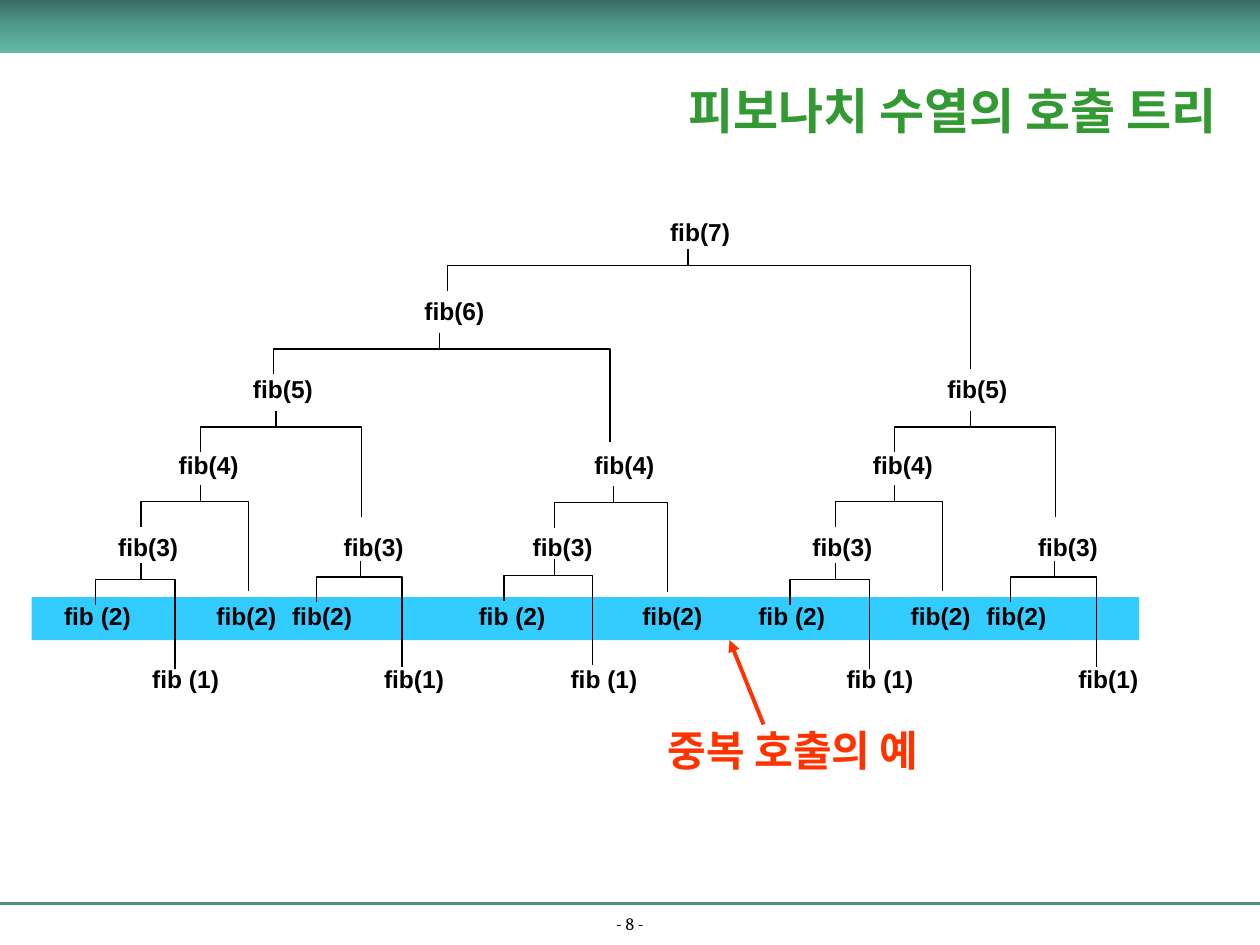
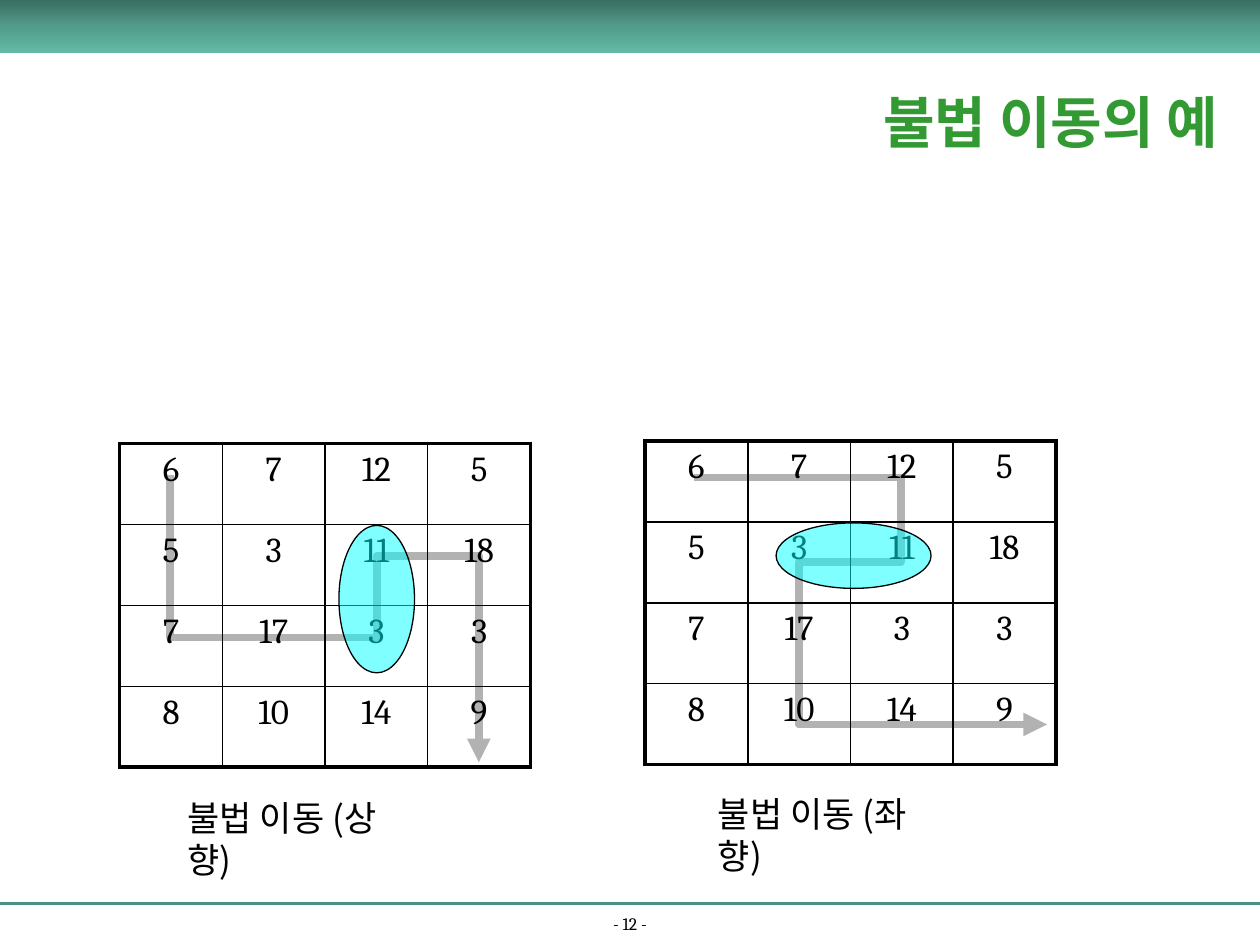
from copy import deepcopy
from itertools import product

from lxml import etree
from pptx import Presentation
from pptx.dml.color import RGBColor
from pptx.enum import shapes, text
from pptx.oxml import ns
from pptx.util import Inches, Pt

BLACK = RGBColor(0x00, 0x00, 0x00)
TITLE_GREEN = RGBColor(0x33, 0x99, 0x33)
RULE_GREEN = RGBColor(0x4C, 0x92, 0x82)
HEADER_STOPS = [
    (0, RGBColor(0x3A, 0x6D, 0x62)),
    (0.5, RGBColor(0x53, 0x9C, 0x8B)),
    (1, RGBColor(0x62, 0xB9, 0xA5)),
]
SKY = RGBColor(0x33, 0xCC, 0xFF)
RED = RGBColor(0xFF, 0x33, 0x00)
GREY = RGBColor(0xB2, 0xB2, 0xB2)
CYAN = RGBColor(0x00, 0xFF, 0xFF)
SERIF, SANS, KOREAN = "Cambria", "Arial", "Noto Sans CJK KR"

TREE_TITLE = ("피보나치 수열의 호출 트리", (5.12, 0.42, 4.88, 0.9), 28)
MOVES_TITLE = ("불법 이동의 예", (6.68, 0.4, 3.32, 1.12), 32)

LEVEL_TOPS = {7: 1.67, 6: 2.3, 5: 2.92, 4: 3.52, 3: 4.17, 2: 4.72, 1: 5.22}
BAR_DROP, LEFT_DROP = 0.13, 0.2
ROOT_CALLS = [("fib(7)", 5.22), ("fib(6)", 3.27)]
ROOT_FORKS = [(5.46, 1.98, 3.55, 7.7, 0.82), (3.49, 2.64, 2.17, 4.84, 0.74)]
MIDDLE_CALLS = [
    ("fib(4)", 4.62), ("fib(3)", 4.13), ("fib(2)", 5.0),
    ("fib (2)", 3.7), ("fib (1)", 4.43),
]
MIDDLE_FORKS = [(4.87, 3.86, 4.4, 5.3, 0.71), (4.4, 4.44, 4.0, 4.7, 0.71)]
FIVE_CALLS = [
    ("fib(5)", 1.91), ("fib(4)", 1.32), ("fib(3)", 0.84), ("fib(3)", 2.63),
    ("fib (2)", 0.41), ("fib(2)", 1.62), ("fib(2)", 2.22),
    ("fib (1)", 1.11), ("fib(1)", 2.95),
]
FIVE_FORKS = [
    (2.19, 3.26, 1.59, 2.87, 0.71), (1.59, 3.85, 1.12, 1.97, 0.71),
    (1.12, 4.47, 0.76, 1.39, 0.71), (2.86, 4.45, 2.51, 3.19, 0.71),
]
SUBTREES = [
    (0, ROOT_CALLS, ROOT_FORKS),
    (0, MIDDLE_CALLS, MIDDLE_FORKS),
    (0, FIVE_CALLS, FIVE_FORKS),
    (5.51, FIVE_CALLS, FIVE_FORKS),
]

GRID_VALUES = [[6, 7, 12, 5], [5, 3, 11, 18], [7, 17, 3, 3], [8, 10, 14, 9]]
GRID_SIZE = (3.26, 2.57)
BOARDS = [
    {
        "grid": (0.95, 3.52),
        "trail": [(1.35, 3.77), (1.35, 5.06), (2.99, 5.06),
                  (2.99, 4.41), (3.8, 4.41), (3.8, 6.05)],
        "illegal": (2.69, 4.17, 0.6, 1.17),
        "caption": ("불법 이동 (상향)", 1.39, 6.27),
    },
    {
        "grid": (5.12, 3.5),
        "trail": [(5.51, 3.79), (7.15, 3.79), (7.15, 4.46),
                  (6.34, 4.46), (6.34, 5.75), (8.31, 5.75)],
        "illegal": (6.16, 4.15, 1.23, 0.52),
        "caption": ("불법 이동 (좌향)", 5.6, 6.24),
    },
]


def inches(values):
    return [Inches(value) for value in values]


def add_child(parent, tag, **attributes):
    return etree.SubElement(parent, ns.qn(tag), attributes)


def style_text(para, size, face, color=BLACK, bold=False):
    font = para.font
    font.size, font.name, font.bold = Pt(size), face, bold
    font.color.rgb = color
    add_child(para._p.pPr.find(ns.qn("a:defRPr")), "a:ea", typeface=KOREAN)


def add_label(page, words, place, size, face, color=BLACK, bold=False, wrap=False):
    box = page.shapes.add_textbox(*inches(place))
    frame = box.text_frame
    frame.word_wrap = wrap
    frame.auto_size = text.MSO_AUTO_SIZE.SHAPE_TO_FIT_TEXT
    frame.text = words
    style_text(frame.paragraphs[0], size, face, color, bold)
    return box


def add_block(page, kind, place):
    block = page.shapes.add_shape(kind, *inches(place))
    block.shadow.inherit = False
    block.line.fill.background()
    return block


def style_line(line, color, width, arrow=False):
    line.color.rgb = color
    line.width = Pt(width)
    if arrow:
        add_child(line._get_or_add_ln(), "a:tailEnd", type="triangle")


def add_line(page, start, end, color, width, arrow=False):
    line = page.shapes.add_connector(
        shapes.MSO_CONNECTOR.STRAIGHT, *inches(start + end))
    style_line(line.line, color, width, arrow)
    add_child(line._element.spPr, "a:effectLst")


def add_path(page, points, color, width, arrow=False):
    first, *rest = [inches(point) for point in points]
    builder = page.shapes.build_freeform(*first)
    builder.add_line_segments(rest, close=False)
    outline = builder.convert_to_shape()
    outline.shadow.inherit = False
    outline.fill.background()
    style_line(outline.line, color, width, arrow)


def add_header(page):
    fill = add_block(page, shapes.MSO_SHAPE.RECTANGLE, (0, 0, 10, 0.42)).fill
    fill.gradient()
    fill.gradient_angle = 270
    stop = fill.gradient_stops[0]._gs
    stop.addnext(deepcopy(stop))
    for stop, (position, color) in zip(fill.gradient_stops, HEADER_STOPS):
        stop.position = position
        stop.color.rgb = color


def add_page(deck, title, number):
    page = deck.slides.add_slide(deck.slide_layouts[5])
    add_line(page, (0, 7.17), (10, 7.17), RULE_GREEN, 1.5)
    footer = add_label(page, f"- {number} -", (0, 7.24, 10, 0.22), 10, SERIF, wrap=True)
    footer.text_frame.auto_size = text.MSO_AUTO_SIZE.NONE
    footer.text_frame.vertical_anchor = text.MSO_ANCHOR.BOTTOM
    footer.text_frame.paragraphs[0].alignment = text.PP_ALIGN.CENTER
    add_header(page)

    words, place, size = title
    heading = page.shapes.title
    heading.left, heading.top, heading.width, heading.height = inches(place)
    frame = heading.text_frame
    frame.text = words
    frame.auto_size = text.MSO_AUTO_SIZE.NONE
    frame.vertical_anchor = text.MSO_ANCHOR.MIDDLE
    frame.paragraphs[0].alignment = text.PP_ALIGN.CENTER
    style_text(frame.paragraphs[0], size, SERIF, TITLE_GREEN, True)
    return page


def add_subtree(page, shift, calls, forks):
    for words, left in calls:
        level = int(words[-2])
        width = 0.75 if " " in words else 0.7
        place = (left + shift, LEVEL_TOPS[level], width, 0.33)
        add_label(page, words, place, 14, SANS, bold=True)
    for stem, top, left, right, right_drop in forks:
        stem, left, right = stem + shift, left + shift, right + shift
        bar = top + BAR_DROP
        right_arm = [(stem, top), (stem, bar), (right, bar), (right, bar + right_drop)]
        left_arm = [(stem, bar), (left, bar), (left, bar + LEFT_DROP)]
        for arm in (right_arm, left_arm):
            add_path(page, arm, BLACK, 0.75)


def add_border(cell, side, width):
    border = add_child(cell._tc.get_or_add_tcPr(), f"a:{side}", w=str(Pt(width)))
    add_child(add_child(border, "a:solidFill"), "a:srgbClr", val=str(BLACK))


def add_grid(page, place):
    count = len(GRID_VALUES)
    table = page.shapes.add_table(count, count, *inches(place + GRID_SIZE)).table
    table.first_row = table.horz_banding = False
    for row, column in product(range(count), repeat=2):
        cell = table.cell(row, column)
        cell.text = str(GRID_VALUES[row][column])
        para = cell.text_frame.paragraphs[0]
        para.alignment = text.PP_ALIGN.CENTER
        style_text(para, 20, SERIF)
        outer_sides = {
            "lnL": column == 0, "lnR": column == count - 1,
            "lnT": row == 0, "lnB": row == count - 1,
        }
        for side, outer in outer_sides.items():
            add_border(cell, side, 2.25 if outer else 1)
        cell.fill.background()


def add_illegal_mark(page, place):
    mark = add_block(page, shapes.MSO_SHAPE.OVAL, place)
    mark.fill.solid()
    mark.fill.fore_color.rgb = CYAN
    color = mark._element.spPr.find(".//" + ns.qn("a:srgbClr"))
    add_child(color, "a:alpha", val="50000")
    style_line(mark.line, BLACK, 0.75)


def build_tree_page(deck):
    page = add_page(deck, TREE_TITLE, 8)
    band = add_block(page, shapes.MSO_SHAPE.RECTANGLE, (0.25, 4.74, 8.79, 0.34))
    band.fill.solid()
    band.fill.fore_color.rgb = SKY
    for subtree in SUBTREES:
        add_subtree(page, *subtree)
    add_label(page, "중복 호출의 예", (5.2, 5.7, 2.49, 0.5), 24, KOREAN, RED, True)
    add_line(page, (6.06, 5.75), (5.79, 5.08), RED, 2.25, arrow=True)


def build_moves_page(deck):
    page = add_page(deck, MOVES_TITLE, 12)
    for board in BOARDS:
        add_path(page, board["trail"], GREY, 4.5, arrow=True)
        add_grid(page, board["grid"])
        add_illegal_mark(page, board["illegal"])
        words, left, top = board["caption"]
        caption = add_label(page, words, (left, top, 2.26, 0.43), 20, KOREAN, wrap=True)
        caption.text_frame.margin_right = Inches(0.4)


def main():
    deck = Presentation()
    deck.slide_width, deck.slide_height = Inches(10), Inches(7.5)
    build_tree_page(deck)
    build_moves_page(deck)
    deck.save("out.pptx")


if __name__ == "__main__":
    main()
